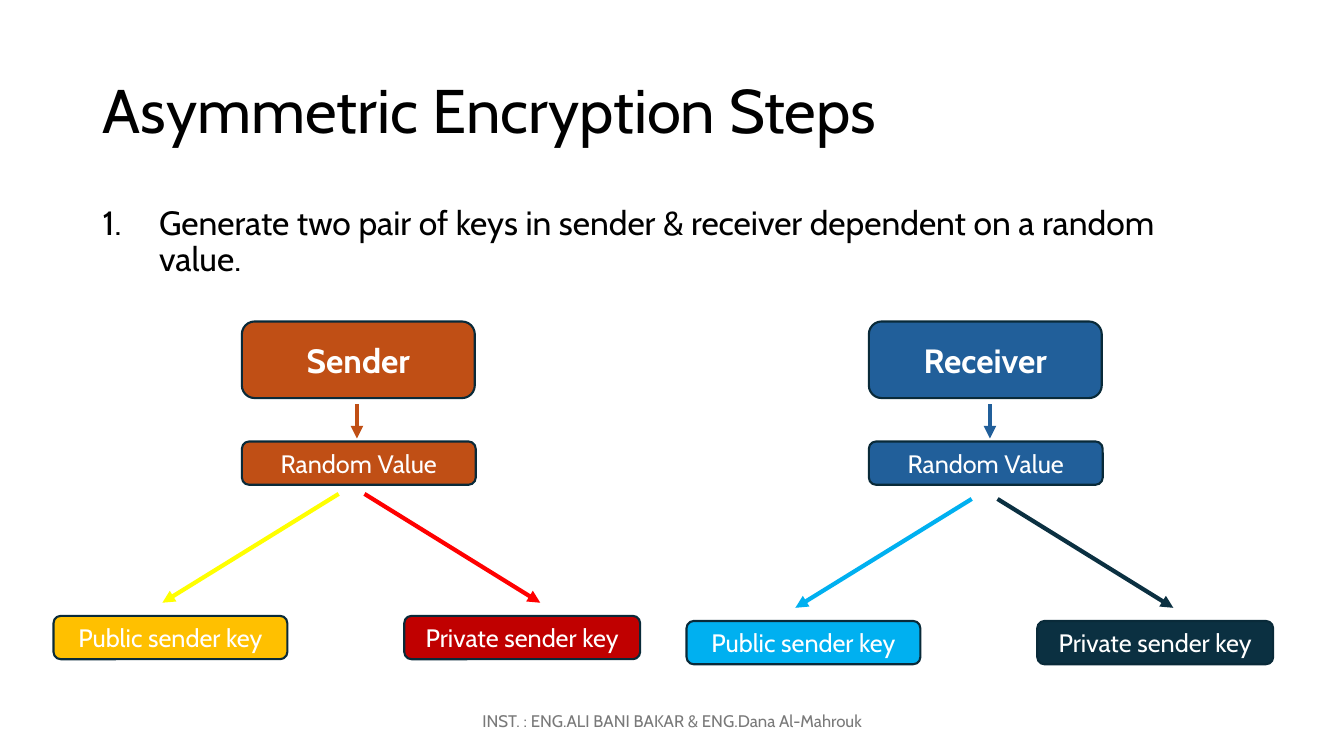
from dataclasses import dataclass

from lxml import etree
from pptx import Presentation
from pptx import util as u
from pptx.dml.color import RGBColor
from pptx.enum import shapes, text
from pptx.oxml.ns import qn


@dataclass(frozen=True)
class Theme:
    font: str = "Cabin"
    ink: str = "000000"
    pale: str = "FFFFFF"
    edge: str = "092A39"
    grey: str = "797979"
    rust: str = "C04F15"
    blue: str = "215F9A"
    gold: str = "FFC000"
    lemon: str = "FFFF00"
    wine: str = "C00000"
    red: str = "FF0000"
    sky: str = "00B0F0"
    navy: str = "0B3041"
    title: int = 44
    large: int = 24
    label: int = 18
    small: int = 12


T = Theme()
WIDE, HIGH = u.Inches(13.33), u.Inches(7.5)


# Grid of 100 columns by 100 rows
def col(n):
    return round(WIDE * n / 100)


def row(n):
    return round(HIGH * n / 100)


def area(x, y, w, h):
    return col(x), row(y), col(w), row(h)


def tint(hue):
    return RGBColor.from_string(hue)


def write(shape, words, size, hue=T.ink, bold=False, align=text.PP_ALIGN.LEFT,
          anchor=text.MSO_ANCHOR.MIDDLE, lines=None, number=False):
    frame = shape.text_frame
    frame.word_wrap = True
    frame.auto_size = text.MSO_AUTO_SIZE.NONE
    frame.vertical_anchor = anchor
    para = frame.paragraphs[0]
    para.text = words
    para.alignment = align
    if lines:
        para.line_spacing = lines
    if number:
        props = para._p.get_or_add_pPr()
        indent = u.Inches(0.56)
        props.set("marL", str(indent))
        props.set("indent", str(-indent))
        etree.SubElement(props, qn("a:buFont"), typeface="+mj-lt")
        etree.SubElement(props, qn("a:buAutoNum"), type="arabicPeriod")
    for font in (para.font, para.runs[0].font):
        font.name = T.font
        font.size = u.Pt(size)
        font.bold = bold
        font.color.rgb = tint(hue)


def box(slide, words, place, fill, size=T.label, bold=False):
    shape = slide.shapes.add_shape(
        shapes.MSO_SHAPE.ROUNDED_RECTANGLE, *area(*place))
    shape.shadow.inherit = False
    shape.fill.solid()
    shape.fill.fore_color.rgb = tint(fill)
    shape.line.color.rgb = tint(T.edge)
    shape.line.width = u.Pt(1.5)
    write(shape, words, size, T.pale, bold, text.PP_ALIGN.CENTER)


def arrow(slide, start, end, hue):
    line = slide.shapes.add_connector(
        shapes.MSO_CONNECTOR.STRAIGHT,
        col(start[0]), row(start[1]), col(end[0]), row(end[1]))
    line.line.color.rgb = tint(hue)
    line.line.width = u.Pt(3)
    etree.SubElement(line.line._get_or_add_ln(), qn("a:tailEnd"),
                     type="triangle")
    etree.SubElement(line._element.spPr, qn("a:effectLst"))


def party(slide, name, left, fan, drop, main, public, private):
    """Draw one party: its name, random value and two keys."""
    box(slide, name, (left, 42.53, 17.33, 10.13), main, T.large, True)
    box(slide, "Random Value", (left, 58.4, 17.4, 5.73), main)
    arrow(slide, (fan + 22.58, 53.47), (fan + 22.58, 58), main)

    # Key name, key offset, width, arrow start and end offsets, colours
    keys = (("Public sender key", 0, 17.4, 21.22, 8.1, public),
            ("Private sender key", 26.1, 17.55, 23.14, 36.22, private))
    for words, shift, wide, start, end, (fill, stroke) in keys:
        box(slide, words, (fan + shift, 81.47 + drop, wide, 5.73), fill)
        arrow(slide, (fan + start, 65.33 + drop),
              (fan + end, 79.73 + drop), stroke)


def main():
    deck = Presentation()
    deck.slide_width, deck.slide_height = WIDE, HIGH
    slide = deck.slides.add_slide(deck.slide_layouts[5])

    # Title
    title = slide.shapes.title
    title.left, title.top, title.width, title.height = area(
        6.9, 5.33, 86.25, 19.33)
    write(title, "Asymmetric Encryption Steps", T.title, lines=0.9)

    # Numbered step
    step = slide.shapes.add_textbox(*area(6.9, 26.67, 86.25, 63.47))
    write(step, "Generate two pair of keys in sender & receiver dependent "
          "on a random value.", T.large, anchor=text.MSO_ANCHOR.TOP,
          lines=0.9, number=True)

    # Key diagrams
    party(slide, "Sender", 18, 3.98, 0, T.rust,
          (T.gold, T.lemon), (T.wine, T.red))
    party(slide, "Receiver", 64.65, 51.08, 0.67, T.blue,
          (T.sky, T.sky), (T.navy, T.navy))

    # Footer
    foot = slide.shapes.add_textbox(*area(33.15, 92.67, 33.75, 5.33))
    write(foot, "INST. : ENG.ALI BANI BAKAR & ENG.Dana Al-Mahrouk",
          T.small, T.grey, align=text.PP_ALIGN.CENTER)

    deck.save("out.pptx")


if __name__ == "__main__":
    main()
